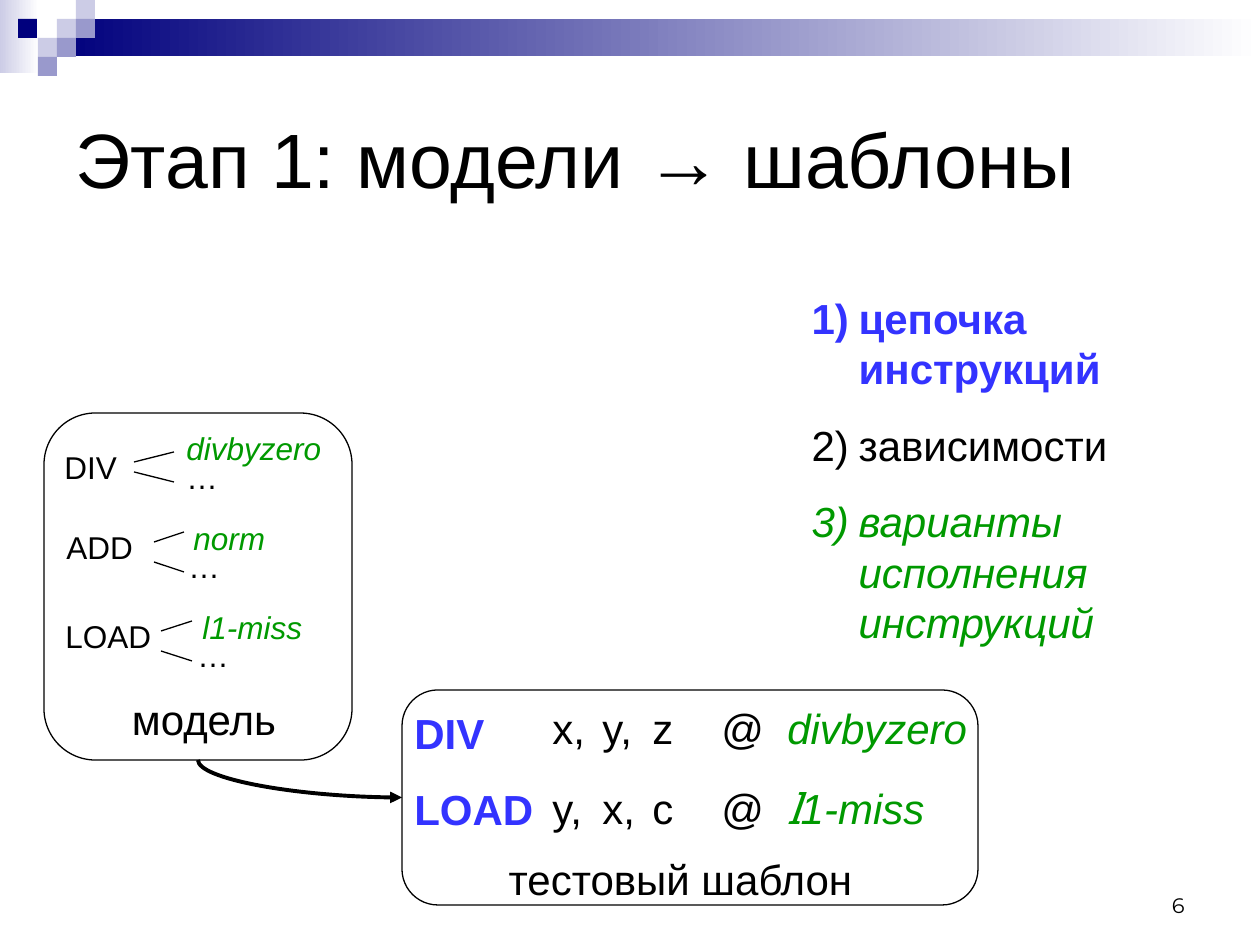
import pptx
import pptx.util
import pptx.dml.color
import pptx.enum.shapes
import pptx.enum.text
import pptx.oxml
from pptx.oxml.ns import qn

BLACK, BLUE, GREEN = "000000", "3333FF", "009900"
NAVY, LILAC, PALE, WHITE = "00007D", "9999CC", "CCCCE6", "FFFFFF"
SCALE = 914400 / 126
SHAPE = pptx.enum.shapes.MSO_SHAPE
CONNECTOR = pptx.enum.shapes.MSO_CONNECTOR
ALIGN = pptx.enum.text.PP_ALIGN
ANCHOR = pptx.enum.text.MSO_ANCHOR

# Content (boxes are left, top, width, height in px)
TITLE = "Этап 1: модели → шаблоны"
STEPS = [
    ("цепочка инструкций", {"color": BLUE, "bold": True}),
    ("зависимости", {}),
    ("варианты исполнения инструкций", {"color": GREEN, "italic": True}),
]
BANDS = [((0, 0, 39, 73), PALE), ((57, 19, 1203, 37), NAVY)]
SQUARES = [(57, 19, PALE), (76, 0, PALE), (76, 19, LILAC), (38, 38, PALE),
           (18, 19, NAVY), (57, 38, LILAC), (38, 57, LILAC)]
# Instruction box, variant box, left and top of the dots, fork x from and to, fork centre y and half gap
MODEL = [
    ("DIV", (52, 442, 77), "divbyzero", (174, 423, 160), (174, 452), (134, 174), (467, 5)),
    ("ADD", (54, 522, 92), "norm", (181, 513, 97), (176, 541), (154, 184), (552, 10)),
    ("LOAD", (53, 611, 111), "l1-miss", (190, 602, 125), (185, 630), (161, 192), (641, 10)),
]
VARIANT = {"color": GREEN, "italic": True}
TEMPLATE_CALLS = [
    ("DIV", ["x,", "y,", "z"], [("divbyzero", VARIANT)]),
    ("LOAD", ["y,", "x,", "c"], [("l", {**VARIANT, "font": "Roboto Slab"}), ("1-miss", VARIANT)]),
]
MODEL_BOX = (44, 413, 308, 347)
TEMPLATE_BOX = (402, 690, 576, 215)


def px(value):
    return round(value * SCALE)


def rgb(value):
    return pptx.dml.color.RGBColor.from_string(value)


def add_xml(parent, xml):
    parent.append(pptx.oxml.parse_xml(xml.replace(
        "/>", ' xmlns:a="http://schemas.openxmlformats.org/drawingml/2006/main"/>', 1)))


def write(frame, paragraphs, align=ALIGN.LEFT, anchor=ANCHOR.TOP, wrap=True, gap=0,
          tab=None, numbered=False, **style):
    """Fill a frame; each paragraph is a string or a list of (text, overrides)."""
    frame.word_wrap = wrap
    frame.auto_size = pptx.enum.text.MSO_AUTO_SIZE.NONE
    frame.vertical_anchor = anchor
    for index, runs in enumerate(paragraphs):
        paragraph = frame.add_paragraph() if index else frame.paragraphs[0]
        paragraph.alignment = align
        paragraph.space_before = pptx.util.Pt(gap if index else 0)
        properties = paragraph._p.get_or_add_pPr()
        if numbered:
            properties.set("marL", str(px(47)))
            properties.set("indent", str(px(-47)))
            add_xml(properties, '<a:buFont typeface="Arial"/>')
            add_xml(properties, '<a:buAutoNum type="arabicParenR"/>')
        if tab:
            stops = pptx.oxml.parse_xml(
                '<a:tabLst xmlns:a="http://schemas.openxmlformats.org/drawingml/2006/main">'
                f'<a:tab pos="{px(tab)}" algn="l"/></a:tabLst>')
            properties.append(stops)
        for text, overrides in [(runs, {})] if isinstance(runs, str) else runs:
            look = {"size": 24, "color": BLACK, "font": "Arial", **style, **overrides}
            run = paragraph.add_run()
            run.text = text
            run.font.name = look["font"]
            run.font.size = pptx.util.Pt(look["size"])
            run.font.bold = look.get("bold", False)
            run.font.italic = look.get("italic", False)
            run.font.color.rgb = rgb(look["color"])


def place(shape, box):
    shape.left, shape.top, shape.width, shape.height = map(px, box)


def add_label(box, paragraphs, **style):
    write(slide.shapes.add_textbox(*map(px, box)).text_frame, paragraphs, **style)


def add_block(box, color, fade=False):
    block = slide.shapes.add_shape(SHAPE.RECTANGLE, *map(px, box))
    block.shadow.inherit = False
    block.line.fill.background()
    if fade:
        block.fill.gradient()
        block.fill.gradient_angle = 0
        for stop, shade in zip(block.fill.gradient_stops, (color, WHITE)):
            stop.color.rgb = rgb(shade)
    else:
        block.fill.solid()
        block.fill.fore_color.rgb = rgb(color)


def add_outline(box):
    outline = slide.shapes.add_shape(SHAPE.ROUNDED_RECTANGLE, *map(px, box))
    outline.shadow.inherit = False
    outline.adjustments[0] = 0.167
    outline.fill.background()
    outline.line.color.rgb = rgb(BLACK)
    outline.line.width = pptx.util.Pt(0.75)


def add_line(start, end, kind=CONNECTOR.STRAIGHT, width=0.75):
    line = slide.shapes.add_connector(kind, *map(px, (*start, *end)))
    line.line.color.rgb = rgb(BLACK)
    line.line.width = pptx.util.Pt(width)
    add_xml(line._element.spPr, "<a:effectLst/>")
    return line


def add_curved_arrow(start, end):
    """Leave start downwards and reach end rightwards: a quarter-turned connector."""
    across, down = end[0] - start[0], end[1] - start[1]
    x, y = (start[0] + end[0]) / 2, (start[1] + end[1]) / 2
    arrow = add_line((x + down / 2, y - across / 2), (x - down / 2, y + across / 2),
                     CONNECTOR.CURVE, 2.25)
    properties = arrow._element.spPr
    properties.find(qn("a:xfrm")).set("rot", "16200000")
    properties.find(qn("a:prstGeom")).set("prst", "curvedConnector2")
    add_xml(properties.find(qn("a:ln")), '<a:tailEnd type="triangle"/>')


deck = pptx.Presentation()
deck.slide_width, deck.slide_height = px(1260), px(945)
slide = deck.slides.add_slide(deck.slide_layouts[1])
title, steps = slide.placeholders

# Header decoration
for box, color in BANDS:
    add_block(box, color, fade=True)
for left, top, color in SQUARES:
    add_block((left, top, 19, 19), color)

# Title and numbered steps
place(title, (63, 63, 1134, 189))
write(title.text_frame, [TITLE], size=44, anchor=ANCHOR.MIDDLE)
place(steps, (799, 286, 387, 368))
write(steps.text_frame, [[step] for step in STEPS], gap=15, numbered=True)

# Model: instructions forking into variants
add_outline(MODEL_BOX)
for name, at, variant, variant_at, dots_at, (fork, tip), (middle, half) in MODEL:
    add_label((*at, 50), [name], size=18, wrap=False)
    add_label((*variant_at, 50), [variant], size=18, wrap=False, **VARIANT)
    add_label((*dots_at, 57, 50), ["…"], size=18, wrap=False)
    for side in (-1, 1):
        add_line((fork, middle + side * half), (tip, middle + side * (half + 10)))
add_label((105, 687, 198, 63), ["модель"], align=ALIGN.CENTER)

# Test template: calls with operands and variants
add_outline(TEMPLATE_BOX)
add_label((402, 701, 149, 140), [call[0] for call in TEMPLATE_CALLS],
          gap=15, color=BLUE, bold=True)
for row, (_, operands, variant) in enumerate(TEMPLATE_CALLS):
    top = 696 + 80 * row
    for column, operand in enumerate(operands):
        add_label((540 + 50 * column, top, 69, 63), [operand])
    add_label((709, top, 287, 63), [[("@\t", {}), *variant]], tab=66)
add_label((422, 847, 517, 63), ["тестовый шаблон"], align=ALIGN.CENTER)

# Arrow from the model to the template
add_curved_arrow((MODEL_BOX[0] + MODEL_BOX[2] / 2, MODEL_BOX[1] + MODEL_BOX[3]),
                 (TEMPLATE_BOX[0], TEMPLATE_BOX[1] + TEMPLATE_BOX[3] / 2))

# Page number
add_label((903, 861, 294, 63), ["6"], size=12, font="Montserrat",
          align=ALIGN.RIGHT, anchor=ANCHOR.BOTTOM)

deck.save("out.pptx")
